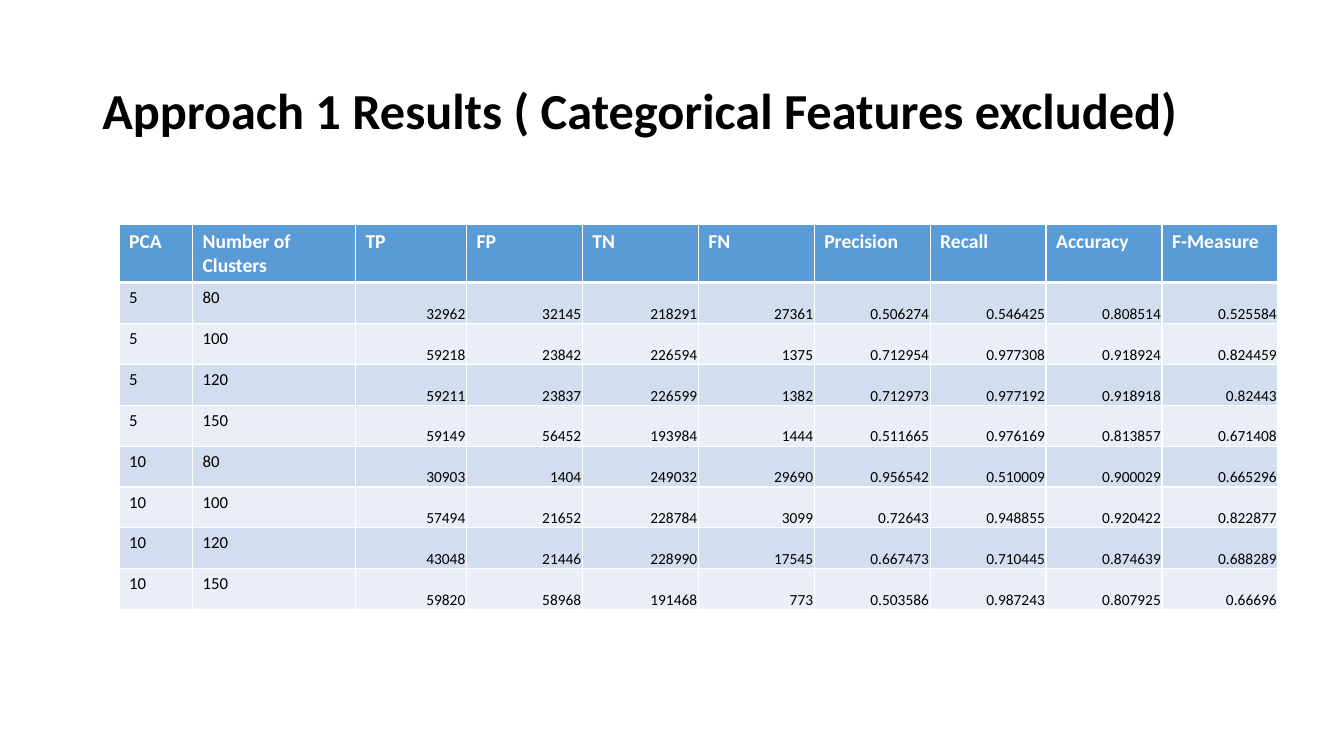
from dataclasses import dataclass

from lxml.etree import SubElement
from pptx import Presentation
from pptx.dml.color import RGBColor
from pptx.enum.text import MSO_ANCHOR as Anchor, PP_ALIGN as Align
from pptx.oxml.ns import qn
from pptx.table import _Cell as Cell
from pptx.text.text import TextFrame
from pptx.util import Pt

COLORS = {
    "text": "000000",
    "white": "FFFFFF",
    "header": "5B9BD5",
    "band_dark": "D2DEEF",
    "band_light": "EAEFF7",
}
FONT = "Calibri"
HEADER_HEIGHT, ROW_HEIGHT = 41.4, 29.2
THIN, THICK = 1, 3
HEADERS = ["PCA", "Number of Clusters", "TP", "FP", "TN", "FN",
           "Precision", "Recall", "Accuracy", "F-Measure"]
WIDTHS = [52.5, 116.4, 79.3] + [82.8] * 7
RESULTS = [
    "5 80 32962 32145 218291 27361 0.506274 0.546425 0.808514 0.525584",
    "5 100 59218 23842 226594 1375 0.712954 0.977308 0.918924 0.824459",
    "5 120 59211 23837 226599 1382 0.712973 0.977192 0.918918 0.82443",
    "5 150 59149 56452 193984 1444 0.511665 0.976169 0.813857 0.671408",
    "10 80 30903 1404 249032 29690 0.956542 0.510009 0.900029 0.665296",
    "10 100 57494 21652 228784 3099 0.72643 0.948855 0.920422 0.822877",
    "10 120 43048 21446 228990 17545 0.667473 0.710445 0.874639 0.688289",
    "10 150 59820 58968 191468 773 0.503586 0.987243 0.807925 0.66696",
]


@dataclass(frozen=True)
class CellStyle:
    size: float
    color: str = "text"
    bold: bool = False
    align: Align = Align.LEFT
    anchor: Anchor = Anchor.TOP
    tight: bool = False


HEADER = CellStyle(14, color="white", bold=True)
SETTING = CellStyle(12)
MEASURE = CellStyle(11, align=Align.RIGHT, anchor=Anchor.BOTTOM, tight=True)


def write(frame: TextFrame, text: str, *, size: float, color: str = "text",
          bold: bool = False, align: Align = Align.LEFT, spacing: float = 1.0) -> None:
    paragraph = frame.paragraphs[0]
    paragraph.alignment = align
    paragraph.line_spacing = spacing
    run = paragraph.add_run()
    run.text = text
    run.font.name = FONT
    run.font.size = Pt(size)
    run.font.bold = bold
    run.font.color.rgb = RGBColor.from_string(COLORS[color])


def draw_borders(cell: Cell, top: float, bottom: float) -> None:
    properties = cell._tc.get_or_add_tcPr()
    for side, width in (("L", THIN), ("R", THIN), ("T", top), ("B", bottom)):
        line = SubElement(properties, qn(f"a:ln{side}"), w=str(Pt(width)))
        fill = SubElement(line, qn("a:solidFill"))
        SubElement(fill, qn("a:srgbClr"), val=COLORS["white"])


def draw_cell(cell: Cell, text: str, style: CellStyle, fill: str,
              top: float, bottom: float) -> None:
    draw_borders(cell, top, bottom)
    cell.fill.solid()
    cell.fill.fore_color.rgb = RGBColor.from_string(COLORS[fill])
    cell.vertical_anchor = style.anchor
    if style.tight:
        cell.margin_left = cell.margin_right = cell.margin_top = Pt(0.75)
        cell.margin_bottom = Pt(0)
    write(cell.text_frame, text, size=style.size, color=style.color,
          bold=style.bold, align=style.align)


presentation = Presentation()
presentation.slide_width, presentation.slide_height = Pt(960), Pt(540)
slide = presentation.slides.add_slide(presentation.slide_layouts[6])

title = slide.shapes.add_textbox(Pt(66), Pt(28.75), Pt(828), Pt(104.4)).text_frame
title.word_wrap = True
title.vertical_anchor = Anchor.MIDDLE
write(title, "Approach 1 Results ( Categorical Features excluded)",
      size=36, bold=True, spacing=0.9)

rows = [HEADERS] + [result.split() for result in RESULTS]
heights = [HEADER_HEIGHT] + [ROW_HEIGHT] * len(RESULTS)
table = slide.shapes.add_table(len(rows), len(HEADERS), Pt(85), Pt(160.5),
                               Pt(sum(WIDTHS)), Pt(sum(heights))).table
table.first_row = table.horz_banding = False
for column, width in zip(table.columns, WIDTHS):
    column.width = Pt(width)

for row_index, (values, height) in enumerate(zip(rows, heights)):
    table.rows[row_index].height = Pt(height)
    is_header = row_index == 0
    band = "band_dark" if row_index % 2 else "band_light"
    for column_index, value in enumerate(values):
        body_style = SETTING if column_index < 2 else MEASURE
        draw_cell(table.cell(row_index, column_index), value,
                  HEADER if is_header else body_style,
                  "header" if is_header else band,
                  top=THICK if row_index == 1 else THIN,
                  bottom=THICK if is_header else THIN)

presentation.save("out.pptx")
